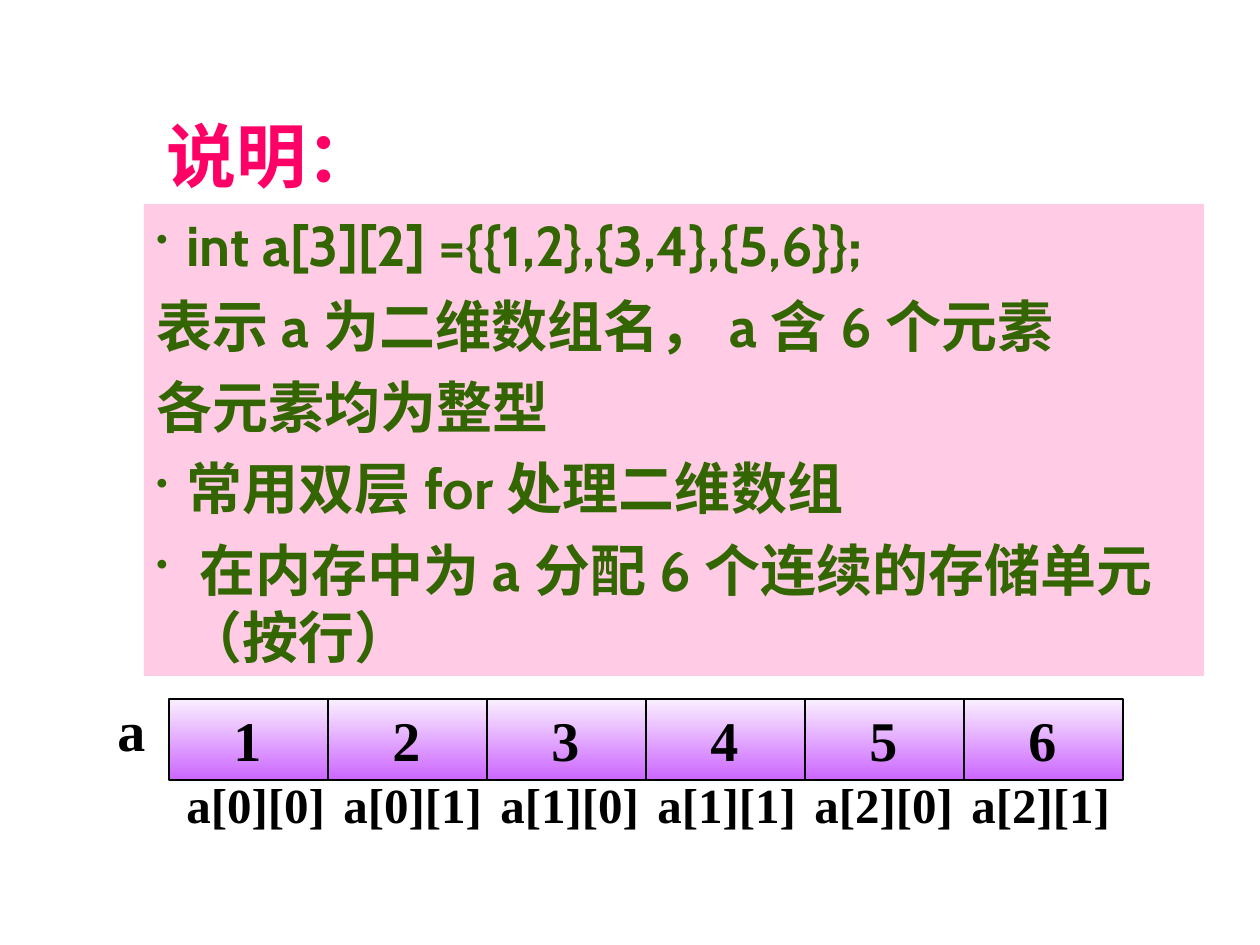
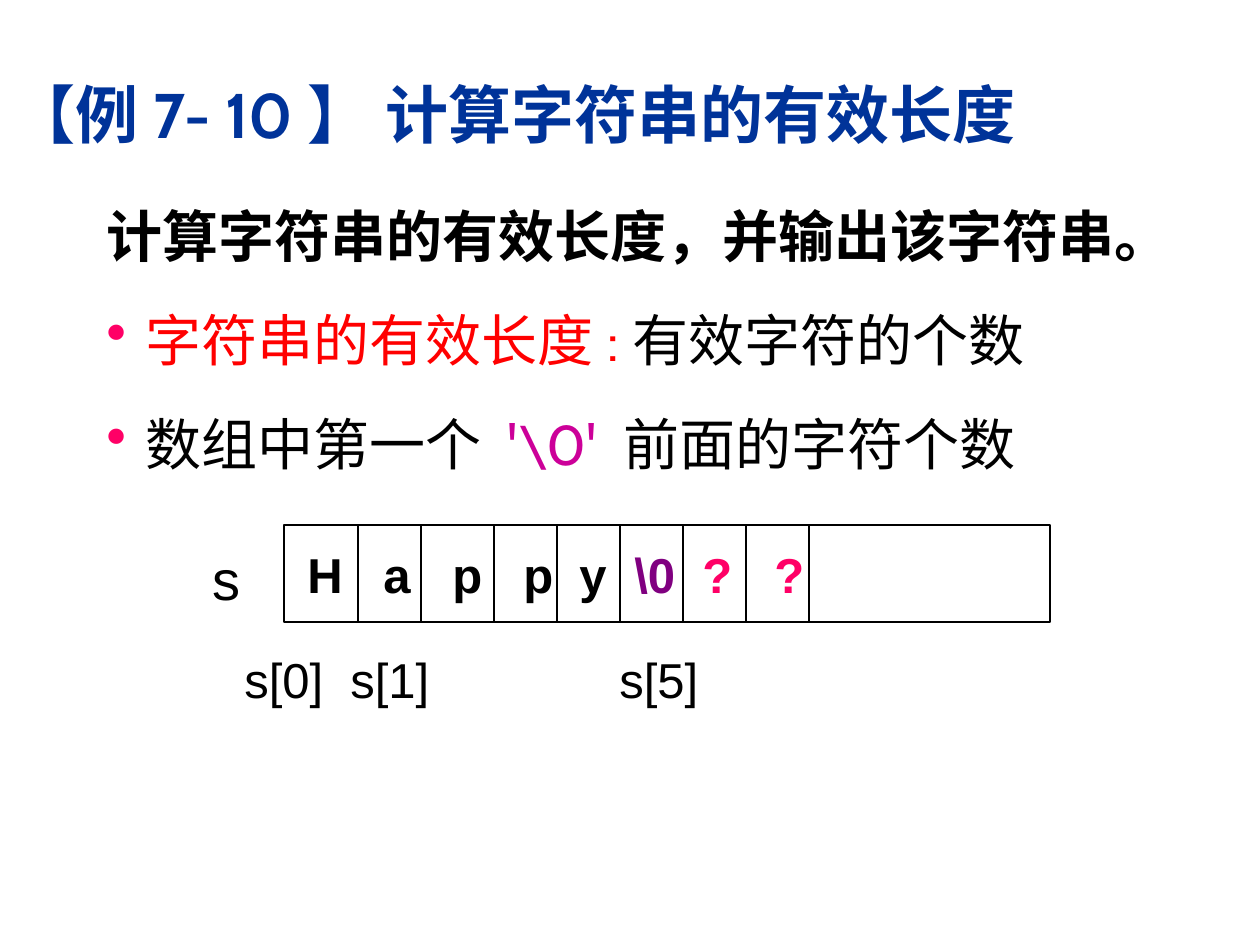
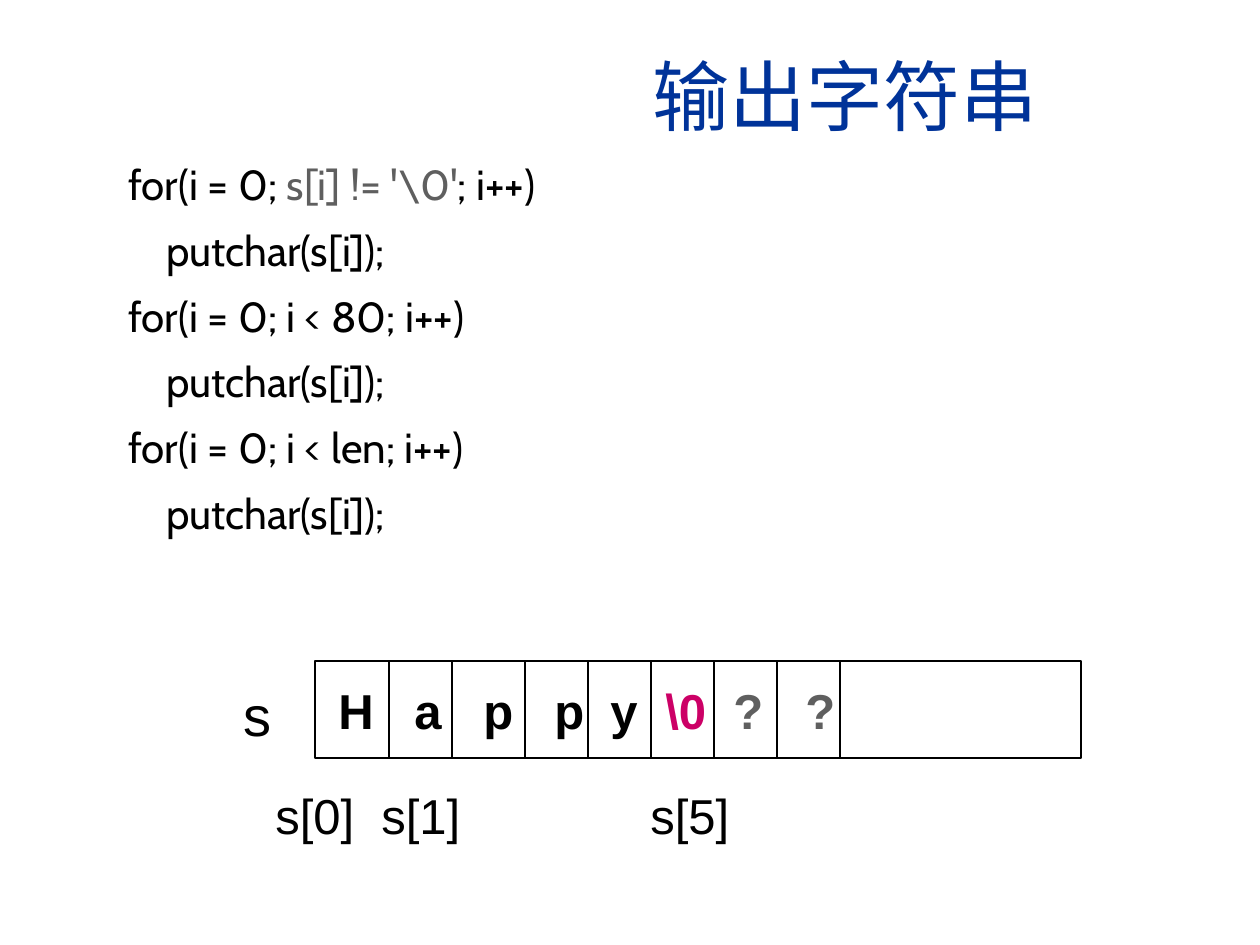
from lxml import etree
from pptx import Presentation
from pptx.dml.color import RGBColor as RGB
from pptx.enum.lang import MSO_LANGUAGE_ID as LANG
from pptx.enum.shapes import MSO_CONNECTOR as CONN, MSO_SHAPE as SHAPE
from pptx.enum.text import MSO_ANCHOR as ANCHOR, PP_ALIGN as ALIGN
from pptx.oxml.ns import qn
from pptx.util import Emu, Pt

PX = 914400 / 126
BLACK = RGB(0x00, 0x00, 0x00)
GREEN = RGB(0x33, 0x66, 0x00)
PINK = RGB(0xFF, 0x99, 0xCC)
ROSE = RGB(0xFF, 0x00, 0x66)
RED = RGB(0xFF, 0x00, 0x00)
NAVY = RGB(0x00, 0x33, 0x99)
GRAY = RGB(0x5F, 0x5F, 0x5F)
PLUM = RGB(0x80, 0x00, 0x80)
MAGENTA = RGB(0xCC, 0x00, 0x99)
CERISE = RGB(0xCC, 0x00, 0x66)
PALE = RGB(0xFA, 0xEF, 0xFF)
VIOLET = RGB(0xCC, 0x66, 0xFF)
SANS, HEAD, SERIF = "Arial", "Cabin", "Times New Roman"


def px(num):
    return Emu(round(num * PX))


def add(node, tag, **attrs):
    return etree.SubElement(node, qn(tag), attrs)


def write(shape, paras, size=28, font=HEAD, color=BLACK, bold=False,
          align=None, anchor=ANCHOR.TOP, gap=0, lead=None, indent=None,
          bullet=None, tabs=(), mode="l"):
    """Fill a shape with paragraphs.

    A paragraph is a string or a dict with runs and its own align, bullet or
    indent; a run is a string or a (text, changes) pair. A bullet is a
    (colour, percent) pair, an indent a (margin, first line) pair.
    """
    frame = shape.text_frame
    frame.word_wrap = True
    frame.vertical_anchor = anchor
    for i, item in enumerate(paras):
        item = item if isinstance(item, dict) else {"runs": [item]}
        para = frame.paragraphs[0] if i == 0 else frame.add_paragraph()
        props = para._p.get_or_add_pPr()
        space = item.get("indent", indent)
        if space:
            props.set("marL", str(px(space[0])))
            props.set("indent", str(px(space[1])))
        mark = item.get("bullet", bullet)
        if mark:
            add(add(props, "a:buClr"), "a:srgbClr", val=str(mark[0]))
            add(props, "a:buSzPct", val=str(mark[1] * 1000))
            add(props, "a:buChar", char="•")
        if tabs:
            stops = add(props, "a:tabLst")
            for pos in tabs:
                add(stops, "a:tab", pos=str(px(pos)), algn=mode)
        para.alignment = item.get("align", align or ALIGN.LEFT)
        if lead:
            para.line_spacing = lead
        if i and gap:
            para.space_before = Pt(gap)
        for part in item["runs"]:
            text, diff = (part, {}) if isinstance(part, str) else part
            run = para.add_run()
            run.text = text
            run.font.size = Pt(size)
            run.font.name = diff.get("font", font)
            run.font.bold = diff.get("bold", bold)
            run.font.color.rgb = diff.get("color", color)
            run.font.language_id = LANG.SIMPLIFIED_CHINESE


def label(slide, box, paras, **form):
    write(slide.shapes.add_textbox(*map(px, box)), paras, **form)


def block(slide, box):
    """Add a rectangle without fill, line or shadow."""
    rect = slide.shapes.add_shape(SHAPE.RECTANGLE, *map(px, box))
    rect.shadow.inherit = False
    rect.fill.background()
    rect.line.fill.background()
    return rect


def strip(slide, box, cuts):
    """Add a framed memory row, divided at the given offsets."""
    x, y, w, h = box
    rect = block(slide, box)
    rect.line.color.rgb = BLACK
    rect.line.width = Pt(1)
    for cut in cuts:
        line = slide.shapes.add_connector(
            CONN.STRAIGHT, px(x + cut), px(y), px(x + cut), px(y + h))
        line.line.color.rgb = BLACK
        line.line.width = Pt(1)
        add(line._element.spPr, "a:effectLst")
        if 2 * cut == w:
            line.begin_connect(rect, 0)
            line.end_connect(rect, 2)
    return rect


def grid(slide, box):
    """Show the six elements of a in a row, with their names below."""
    x, y, w, h = box
    cell = w // 6
    form = dict(font=SERIF, bold=True, align=ALIGN.JUSTIFY)
    rect = strip(slide, box, range(cell, w, cell))
    rect.fill.gradient()
    rect.fill.gradient_angle = 270
    for stop, color in zip(rect.fill.gradient_stops, (PALE, VIOLET)):
        stop.color.rgb = color
    inset = 13
    mids = [cell * i + cell // 2 - inset for i in range(6)]
    text = "".join(f"\t{n}" for n in range(1, 7))
    write(rect, [text], size=32, tabs=mids, mode="ctr",
          anchor=ANCHOR.MIDDLE, **{**form, "align": ALIGN.LEFT})
    for i in range(6):
        label(slide, (x + 5 + 157 * i, y + 69, 168, 80),
              [f"a[{i // 2}][{i % 2}]"], **form)
    label(slide, (x - 64, y - 10, 64, 80), ["a"], size=32, **form)


def chars(slide, x, y, end, rest):
    """Show the string s in memory; end and rest colour its tail."""
    strip(slide, (x, y, 766, 97), (74, 137, 210, 273, 336, 399, 462, 525))
    label(slide, (x, y + 13, 620, 71),
          [{"runs": ["\tH\ta\tp\tp\ty", ("\t\\0", {"color": end}),
                     ("\t?\t?", {"color": rest})]}],
          font=SANS, bold=True, tabs=(11, 87, 156, 227, 283, 338, 406, 478))
    label(slide, (x - 84, y + 13, 73, 79), ["s"], size=32, font=SANS)
    label(slide, (x - 63, y + 118, 494, 71), ["\ts[0]\ts[1]\ts[5]"],
          font=SANS, tabs=(11, 117, 386))


def title(slide, box, runs, **form):
    label(slide, box, [{"runs": runs}], color=NAVY, anchor=ANCHOR.BOTTOM,
          **form)


def body(slide, box, paras, **form):
    label(slide, box, paras, indent=(102, -39), **form)


def notes(slide):
    rect = block(slide, (144, 204, 1060, 472))
    rect.fill.solid()
    rect.fill.fore_color.rgb = PINK
    tint = rect._element.spPr.find(qn("a:solidFill"))[0]
    add(tint, "a:alpha", val="50000")
    dot = dict(bullet=(GREEN, 60), indent=(30, -30))
    serif = {"font": SERIF}
    write(rect, [
        {"runs": ["int a[3][2] ={{1,2},{3,4},{5,6}}; "], **dot},
        "表示a为二维数组名，a含6个元素",
        "各元素均为整型",
        {"runs": ["常用双层for处理二维数组"], **dot},
        {"runs": [(" 在内存中为", serif), "a", ("分配", serif), "6",
                  ("个连续的存储单元（按行）", serif)],
         "align": ALIGN.LEFT, **dot},
    ], size=32, color=GREEN, bold=True, align=ALIGN.JUSTIFY, gap=8)
    label(slide, (154, 106, 265, 97), ["说明："], size=40, color=ROSE,
          bold=True)
    grid(slide, (169, 699, 954, 81))


def length(slide):
    dot = (ROSE, 105)
    body(slide, (31, 179, 1166, 399), [
        {"runs": [("计算字符串的有效长度，并输出该字符串。", {"bold": True})]},
        {"runs": [("字符串的有效长度:", {"color": RED}), "有效字符的个数"],
         "bullet": dot},
        {"runs": ["数组中第一个 ", ("'\\0' ", {"color": MAGENTA}),
                  "前面的字符个数"], "bullet": dot},
    ], size=32, lead=1.24, gap=12)
    serif = {"font": SERIF}
    title(slide, (0, 84, 1061, 73),
          [("【例", serif), "7- 10", ("】 计算", serif), "字符串的有效长度"],
          size=36, bold=True)
    chars(slide, 284, 525, PLUM, ROSE)


def output(slide):
    put = "    putchar(s[i]);"
    body(slide, (53, 147, 620, 494), [
        {"runs": ["for(i = 0; ", ("s[i] != '\\0'", {"color": GRAY}),
                  "; i++)"]},
        put,
        "for(i = 0; i < 80; i++)",
        put,
        "for(i = 0; i < len; i++)",
        put,
    ], size=24, lead=1.1, gap=6)
    title(slide, (640, 31, 567, 116), ["输出字符串"], size=44)
    chars(slide, 315, 661, CERISE, GRAY)


def main():
    deck = Presentation()
    deck.slide_width, deck.slide_height = px(1260), px(945)
    for draw in (notes, length, output):
        draw(deck.slides.add_slide(deck.slide_layouts[6]))
    deck.save("out.pptx")


if __name__ == "__main__":
    main()
